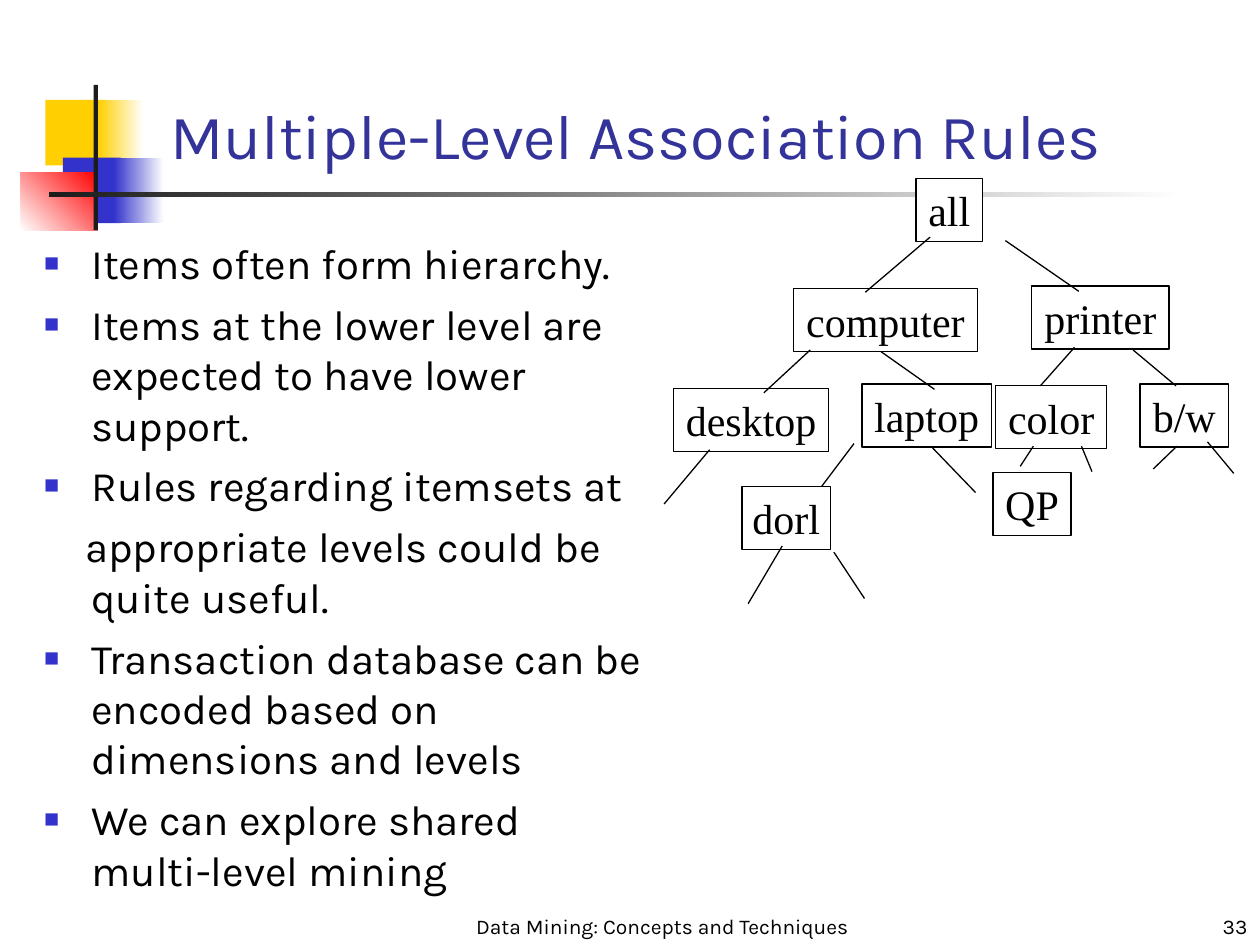
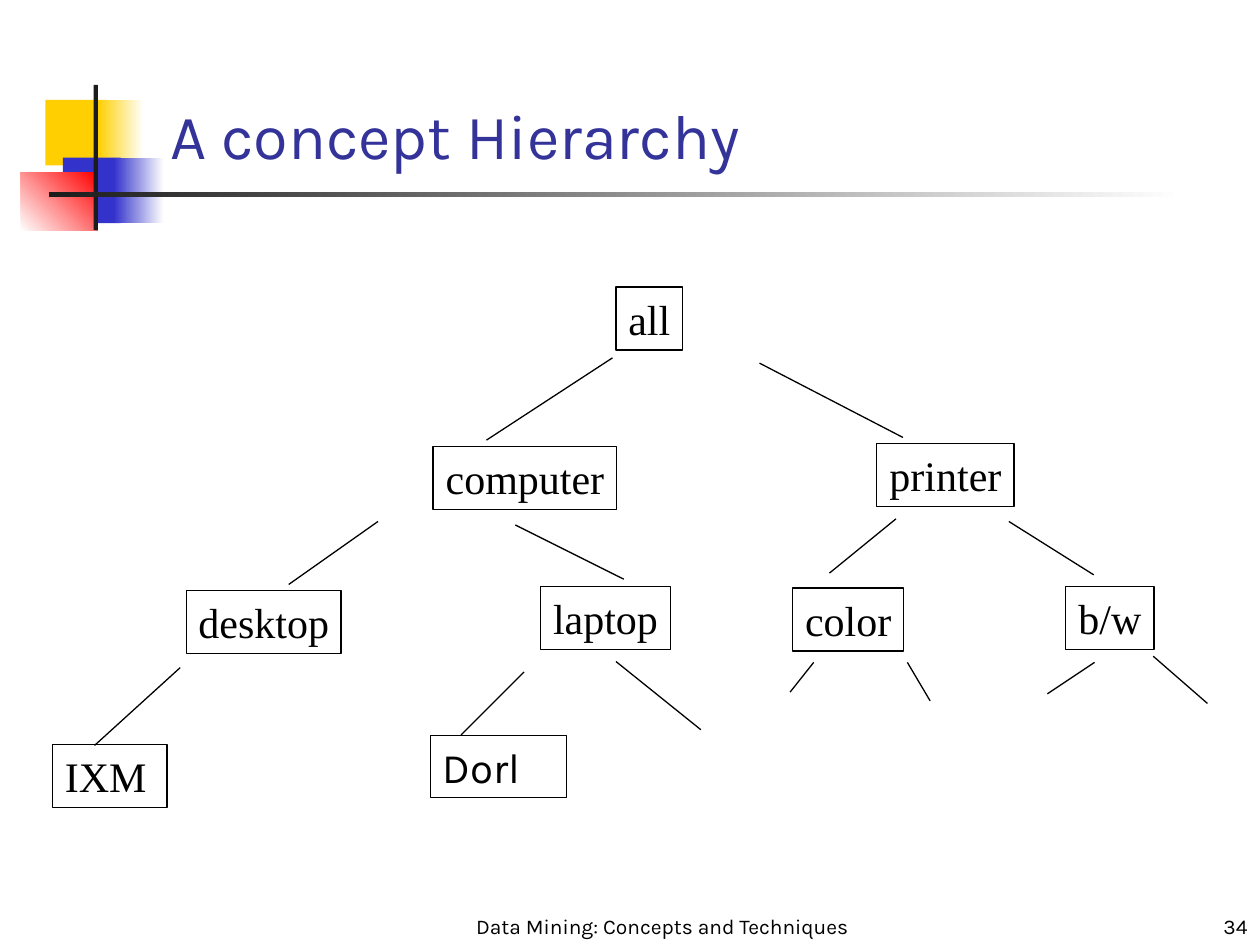
import dataclasses

import lxml.etree
import pptx
import pptx.dml.color
import pptx.enum.shapes
import pptx.enum.text
import pptx.oxml.ns
import pptx.util

Pt = pptx.util.Pt
Align = pptx.enum.text.PP_ALIGN
Anchor = pptx.enum.text.MSO_ANCHOR
RECT = pptx.enum.shapes.MSO_SHAPE.RECTANGLE
LINE = pptx.enum.shapes.MSO_CONNECTOR.STRAIGHT


# Colours and type sizes
@dataclasses.dataclass(frozen=True)
class Theme:
    ink: str = "000000"
    paper: str = "FFFFFF"
    title: str = "333399"
    gold: str = "FFCF01"
    blue: str = "3333CC"
    red: str = "FF0000"
    dark: str = "1C1C1C"
    sans: str = "Karla"
    serif: str = "Times New Roman"
    big: int = 36
    text: int = 24
    small: int = 12
    thin: float = 0.75


THEME = Theme()

# Shared band: left, top, width, height, colours, angle
BAND = [
    (26, 57, 34.5, 37.5, [THEME.gold], 0),
    (56, 57, 26, 37.5, [THEME.gold, THEME.paper], 0),
    (36, 90, 33, 37.5, [THEME.blue], 0),
    (65, 90, 28.5, 37.5, [THEME.blue, THEME.paper], 0),
    (12, 98.5, 44, 33.5, [THEME.paper, THEME.red], 45),
    (53.5, 48.5, 2.5, 83, [THEME.dark], 0),
    (28, 110, 648, 2.5, [THEME.dark, THEME.paper], 0),
]
FOOTER = "Data Mining: Concepts and Techniques"

# Tree labels with their box widths
WIDTHS = {"all": 38, "printer": 78.5, "computer": 105, "desktop": 88.5,
          "laptop": 74, "color": 63.5, "b/w": 50.5, "dorl": 50.5, "QP": 44.5}
NODE_H = 36

# Body text: wording and whether it has a bullet
POINTS = [
    ("Items often form hierarchy.", True),
    ("Items at the lower level are expected to have lower support.", True),
    ("Rules regarding itemsets at", True),
    ("appropriate levels could be quite useful.", False),
    ("Transaction database can be encoded based on dimensions and levels", True),
    ("We can explore shared multi-level mining", True),
]

SMALL_NODES = {
    "all": (523.5, 102), "printer": (589.5, 163.5), "computer": (453.5, 165),
    "desktop": (385, 222), "dorl": (424, 278), "laptop": (492.5, 219.5),
    "b/w": (651.5, 219.5), "color": (569, 220.5), "QP": (567.5, 270),
}
SMALL_LINES = [
    (531.5, 135.5, 494.5, 167), (574.5, 137.5, 616.5, 166.5),
    (463, 200, 436.5, 224.5), (503.5, 201, 534, 222.5),
    (488, 253.5, 469.5, 278), (532, 255, 557.5, 281.5),
    (614, 198.5, 594.5, 220.5), (647.5, 200, 672, 220.5),
    (405.5, 257, 379.5, 288), (447, 312, 427.5, 345),
    (476.5, 315.5, 494, 342), (590.5, 255, 583, 266.5),
    (618, 255, 624, 269.5), (672.5, 255, 659, 268),
    (690, 252.5, 705, 270.5),
]
LARGE_NODES = {
    "all": (352, 164), "printer": (501, 253.5), "computer": (247.5, 255),
    "desktop": (106.5, 337.5), "laptop": (309, 335),
    "b/w": (609, 335), "color": (453, 336),
}
LARGE_LINES = [
    (350, 204.5, 278, 251.5), (434, 207.5, 516, 250),
    (216, 298, 165, 334), (294.5, 300, 356.5, 331),
    (299.5, 384, 263.5, 420), (352, 378, 400.5, 417),
    (512, 296.5, 474, 327.5), (576.5, 298, 625, 328.5),
    (103, 381.5, 54, 426), (465, 378.5, 451.5, 395.5),
    (518.5, 378.5, 531.5, 400.5), (625.5, 378.5, 598.5, 396.5),
    (659, 375, 690, 402),
]


def rgb(code):
    return pptx.dml.color.RGBColor.from_string(code)


def apply(target, values):
    for name, value in values.items():
        setattr(target, name, value)


def place(shape, box):
    apply(shape, dict(zip(("left", "top", "width", "height"), map(Pt, box))))


def write(para, text, size, color=THEME.ink, face=THEME.sans):
    run = para.add_run()
    run.text = text
    apply(run.font, {"name": face, "size": Pt(size)})
    run.font.color.rgb = rgb(color)


def frame(shape, anchor, wrap=True):
    apply(shape.text_frame, {
        "auto_size": pptx.enum.text.MSO_AUTO_SIZE.NONE,
        "word_wrap": wrap, "vertical_anchor": anchor,
        "margin_left": Pt(7.2), "margin_right": Pt(7.2),
        "margin_top": Pt(3.6), "margin_bottom": Pt(3.6)})
    return shape.text_frame


# Filled block of the band, plain or shaded
def block(slide, x, y, w, h, colors, angle):
    shape = slide.shapes.add_shape(RECT, *map(Pt, (x, y, w, h)))
    shape.shadow.inherit = False
    shape.line.fill.background()
    if len(colors) == 1:
        shape.fill.solid()
        shape.fill.fore_color.rgb = rgb(colors[0])
        return
    shape.fill.gradient()
    shape.fill.gradient_angle = angle
    for stop, color in zip(shape.fill.gradient_stops, colors):
        stop.color.rgb = rgb(color)


def label(slide, text, box, align):
    shape = slide.shapes.add_textbox(*map(Pt, box))
    para = frame(shape, Anchor.BOTTOM).paragraphs[0]
    para.alignment = align
    write(para, text, THEME.small)


# Band, title and footer of every slide
def base(deck, layout, title, number):
    slide = deck.slides.add_slide(deck.slide_layouts[layout])
    for part in BAND:
        block(slide, *part)
    head = slide.shapes.title
    place(head, (90, 54, 613.5, 48))
    para = frame(head, Anchor.BOTTOM).paragraphs[0]
    para.alignment = Align.LEFT
    write(para, title, THEME.big, THEME.title)
    label(slide, FOOTER, (264.5, 510, 228, 30), Align.CENTER)
    label(slide, str(number), (570, 510, 150, 30), Align.RIGHT)
    return slide


def bullet(para, marked):
    props = para._p.get_or_add_pPr()
    props.set("marL", str(Pt(27)))
    props.set("indent", str(Pt(-27 if marked else -3.5)))

    def add(parent, tag, **values):
        return lxml.etree.SubElement(parent, pptx.oxml.ns.qn(tag), **values)

    if marked:
        add(add(props, "a:buClr"), "a:srgbClr", val=THEME.blue)
        add(props, "a:buSzPct", val="60000")
        add(props, "a:buFont", typeface="Arial")
        add(props, "a:buChar", char="■")
    else:
        add(props, "a:buNone")


def body(slide, points):
    holder = slide.placeholders[1]
    place(holder, (18, 132, 360, 384))
    text = frame(holder, Anchor.TOP)
    for i, (words, marked) in enumerate(points):
        para = text.add_paragraph() if i else text.paragraphs[0]
        bullet(para, marked)
        para.space_before = Pt(6 if i else 0)
        write(para, words, THEME.text)


# Tree parts
def node(slide, text, x, y, width, align=Align.CENTER,
         face=THEME.serif, fill=True, line=THEME.thin):
    shape = slide.shapes.add_shape(RECT, *map(Pt, (x, y, width, NODE_H)))
    shape.shadow.inherit = False
    if fill:
        shape.fill.solid()
        shape.fill.fore_color.rgb = rgb(THEME.paper)
    else:
        shape.fill.background()
    shape.line.color.rgb = rgb(THEME.ink)
    shape.line.width = Pt(line)
    para = frame(shape, Anchor.MIDDLE, align == Align.LEFT).paragraphs[0]
    para.alignment = align
    write(para, text, THEME.text, face=face)


def branch(slide, ends):
    link = slide.shapes.add_connector(LINE, *map(Pt, ends))
    link.line.color.rgb = rgb(THEME.ink)
    link.line.width = Pt(THEME.thin)
    lxml.etree.SubElement(link._element.spPr, pptx.oxml.ns.qn("a:effectLst"))


def tree(slide, nodes, lines):
    for text, (x, y) in nodes.items():
        node(slide, text, x, y, WIDTHS[text])
    for ends in lines:
        branch(slide, ends)


def main():
    deck = pptx.Presentation()
    apply(deck, {"slide_width": Pt(720), "slide_height": Pt(540)})

    # Rules with a small tree
    slide = base(deck, 1, "Multiple-Level Association Rules", 33)
    body(slide, POINTS)
    tree(slide, SMALL_NODES, SMALL_LINES)

    # Full-width tree
    slide = base(deck, 5, "A concept Hierarchy", 34)
    node(slide, "IXM", 30, 425.5, 65.5, Align.LEFT)
    tree(slide, LARGE_NODES, LARGE_LINES)
    node(slide, "Dorl", 246, 420, 78, Align.LEFT, THEME.sans, False, 0.5)

    deck.save("out.pptx")


if __name__ == "__main__":
    main()
